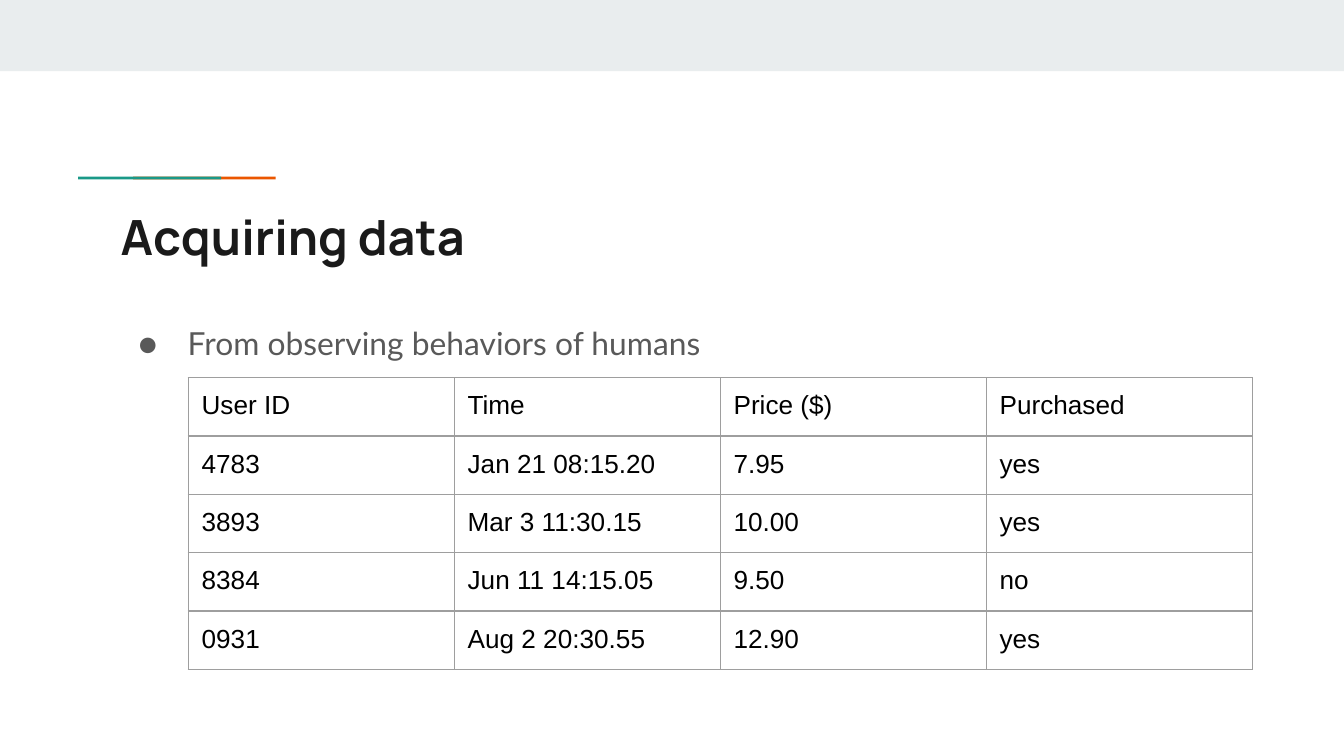
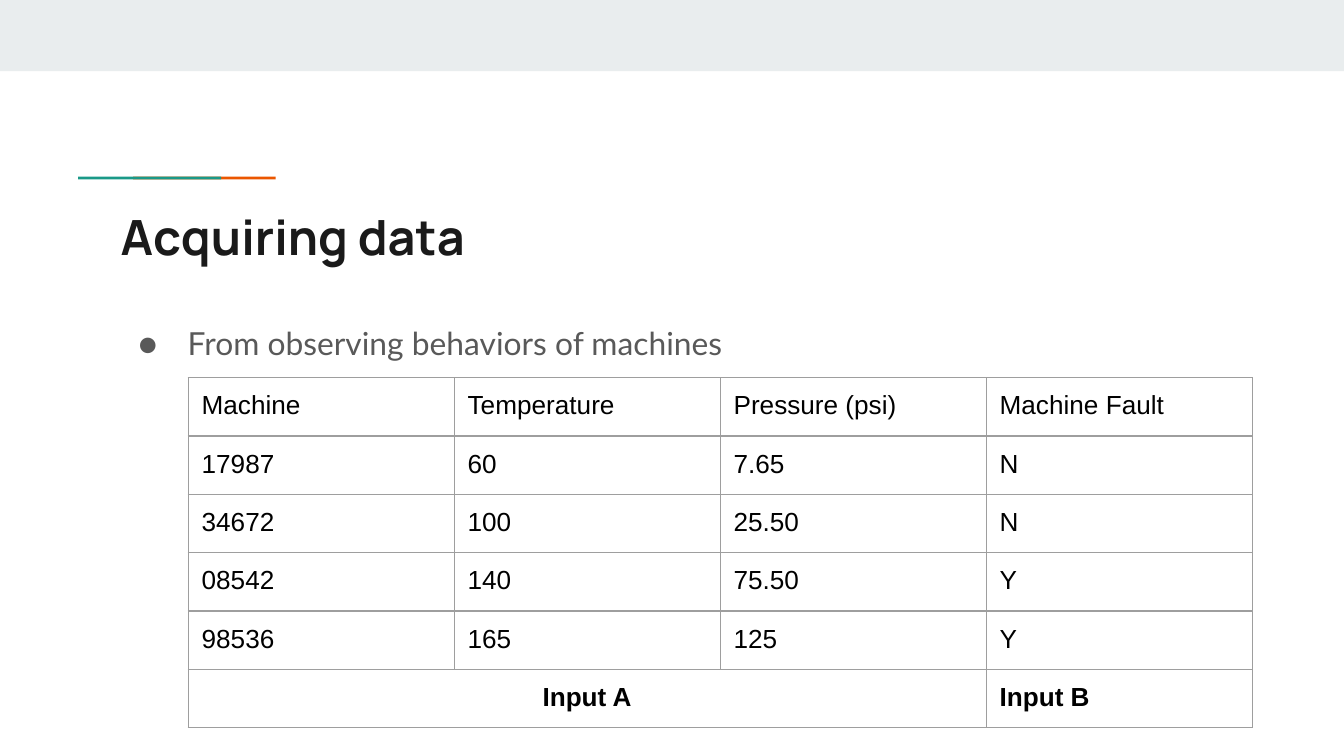
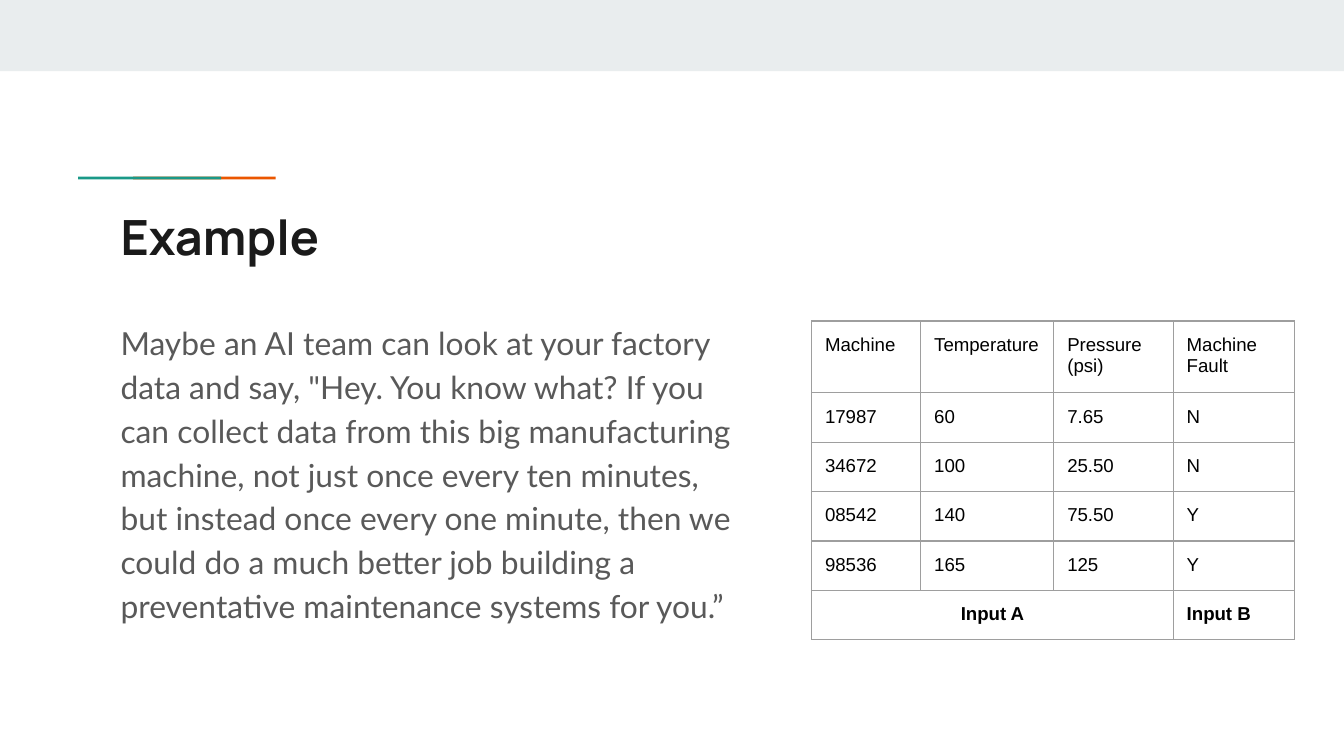
from dataclasses import dataclass

from lxml.etree import SubElement
from pptx import Presentation
from pptx.dml.color import RGBColor
from pptx.enum.shapes import MSO_SHAPE
from pptx.enum.text import MSO_ANCHOR, PP_ALIGN
from pptx.oxml import parse_xml
from pptx.oxml.ns import nsdecls, qn
from pptx.util import Pt


@dataclass(frozen=True)
class Theme:
    band: str = "E9EDEE"
    teal: str = "1A9988"
    orange: str = "EB5600"
    title: str = "1A1A1A"
    body: str = "595959"
    cell: str = "000000"
    border: str = "9E9E9E"
    title_font: str = "Manrope"
    body_font: str = "Lato"
    cell_font: str = "Arial"
    title_size: float = 26
    body_size: float = 17
    cell_size: float = 14
    small_cell_size: float = 10
    border_width: float = 0.75
    inset: float = 7.2


PURCHASES = [
    ["User ID", "Time", "Price ($)", "Purchased"],
    ["4783", "Jan 21 08:15.20", "7.95", "yes"],
    ["3893", "Mar 3 11:30.15", "10.00", "yes"],
    ["8384", "Jun 11 14:15.05", "9.50", "no"],
    ["0931", "Aug 2 20:30.55", "12.90", "yes"],
]
MACHINES = [
    ["Machine", "Temperature", "Pressure (psi)", "Machine Fault"],
    ["17987", "60", "7.65", "N"],
    ["34672", "100", "25.50", "N"],
    ["08542", "140", "75.50", "Y"],
    ["98536", "165", "125", "Y"],
]
INPUTS = ["Input A", "", "", "Input B"]
WIDE_COLUMNS = [142.5] * 4
WIDE_ROW = 30.2
NARROW_COLUMNS = [58.5, 71.3, 64, 64.8]
NARROW_HEADER, NARROW_ROW = 36.6, 26.2
FACTORY_QUOTE = (
    'Maybe an AI team can look at your factory data and say, "Hey. You know what? '
    "If you can collect data from this big manufacturing machine, not just once every "
    "ten minutes, but instead once every one minute, then we could do a much better job "
    "building a preventative maintenance systems for you.”"
)


def set_values(target, values):
    for name, value in values.items():
        setattr(target, name, value)


class SlideBuilder:
    def __init__(self, deck, theme):
        self.deck = deck
        self.theme = theme
        self.slide = None

    def start_slide(self, title):
        theme = self.theme
        self.slide = self.deck.slides.add_slide(self.deck.slide_layouts[6])
        self.bar(0, 0, 720, 38.2, theme.band)
        self.bar(71.4, 94.6, 76.3, 1.6, theme.orange)
        self.bar(41.9, 94.6, 76.6, 1.6, theme.teal)
        self.text(title, 103.7, 605.5, 42.5,
                  self.font_values(theme.title_font, theme.title_size, theme.title, True))

    def bar(self, left, top, width, height, color):
        shape = self.slide.shapes.add_shape(
            MSO_SHAPE.RECTANGLE, Pt(left), Pt(top), Pt(width), Pt(height))
        shape.shadow.inherit = False
        shape.fill.solid()
        shape.fill.fore_color.rgb = RGBColor.from_string(color)
        shape.line.fill.background()

    def font_values(self, name, size, color, bold=False):
        return {"name": name, "size": Pt(size), "bold": bold, "color": color}

    def span(self, para, text, values):
        run = para.add_run()
        run.text = text
        set_values(run.font, {key: value for key, value in values.items() if key != "color"})
        run.font.color.rgb = RGBColor.from_string(values["color"])

    def margins(self):
        sides = ("left", "top", "right", "bottom")
        return {f"margin_{side}": Pt(self.theme.inset) for side in sides}

    def text(self, text, top, width, height, font_values):
        box = self.slide.shapes.add_textbox(Pt(57.5), Pt(top), Pt(width), Pt(height))
        set_values(box.text_frame, {
            **self.margins(), "word_wrap": True, "vertical_anchor": MSO_ANCHOR.TOP})
        para = box.text_frame.paragraphs[0]
        self.span(para, text, font_values)
        return para

    def body(self, text, width=605.5, bulleted=False):
        theme = self.theme
        para = self.text(text, 163.4, width, 167,
                         self.font_values(theme.body_font, theme.body_size, theme.body))
        if bulleted:
            self.bullet(para)
        else:
            para.space_after = Pt(16)
        para.line_spacing = 1.15

    def bullet(self, para):
        properties = para._p.get_or_add_pPr()
        properties.set("marL", str(Pt(36)))
        properties.set("indent", str(Pt(-26.5)))
        color = SubElement(properties, qn("a:buClr"))
        SubElement(color, qn("a:srgbClr"), val=self.theme.body)
        SubElement(properties, qn("a:buFont"), typeface=self.theme.body_font)
        SubElement(properties, qn("a:buChar"), char="●")

    def table(self, rows, left, top, widths, heights, size, has_inputs=False):
        """Draw a bordered grid; has_inputs merges the first three cells of the last row."""
        frame = self.slide.shapes.add_table(
            len(rows), len(widths), Pt(left), Pt(top), Pt(sum(widths)), Pt(sum(heights)))
        table = frame.table
        set_values(table, {"first_row": False, "horz_banding": False})
        for column, width in zip(table.columns, widths):
            column.width = Pt(width)
        for row, height in zip(table.rows, heights):
            row.height = Pt(height)
        for row_index, row in enumerate(rows):
            bold = has_inputs and row_index == len(rows) - 1
            values = self.font_values(self.theme.cell_font, size, self.theme.cell, bold)
            for column_index, text in enumerate(row):
                self.cell(table.cell(row_index, column_index), text, values)
        if has_inputs:
            first = table.cell(len(rows) - 1, 0)
            first.merge(table.cell(len(rows) - 1, 2))
            first.text_frame.paragraphs[0].alignment = PP_ALIGN.CENTER

    def cell(self, cell, text, font_values):
        set_values(cell, self.margins())
        cell.fill.background()
        if text:
            self.span(cell.text_frame.paragraphs[0], text, font_values)
        properties = cell._tc.get_or_add_tcPr()
        for index, side in enumerate(("lnL", "lnR", "lnT", "lnB")):
            properties.insert(index, parse_xml(
                f'<a:{side} {nsdecls("a")} w="{Pt(self.theme.border_width)}"><a:solidFill>'
                f'<a:srgbClr val="{self.theme.border}"/></a:solidFill></a:{side}>'))


def main():
    deck = Presentation()
    set_values(deck, {"slide_width": Pt(720), "slide_height": Pt(405)})
    theme = Theme()
    builder = SlideBuilder(deck, theme)
    machine_rows = MACHINES + [INPUTS]

    observations = [("humans", PURCHASES, False), ("machines", machine_rows, True)]
    for subject, rows, has_inputs in observations:
        builder.start_slide("Acquiring data")
        builder.body(f"From observing behaviors of {subject}", bulleted=True)
        builder.table(rows, 100.8, 202.4, WIDE_COLUMNS, [WIDE_ROW] * len(rows),
                      theme.cell_size, has_inputs)

    builder.start_slide("Example")
    builder.body(FACTORY_QUOTE, width=345)
    builder.table(machine_rows, 434.8, 172, NARROW_COLUMNS,
                  [NARROW_HEADER] + [NARROW_ROW] * len(MACHINES),
                  theme.small_cell_size, has_inputs=True)

    deck.save("out.pptx")


if __name__ == "__main__":
    main()
